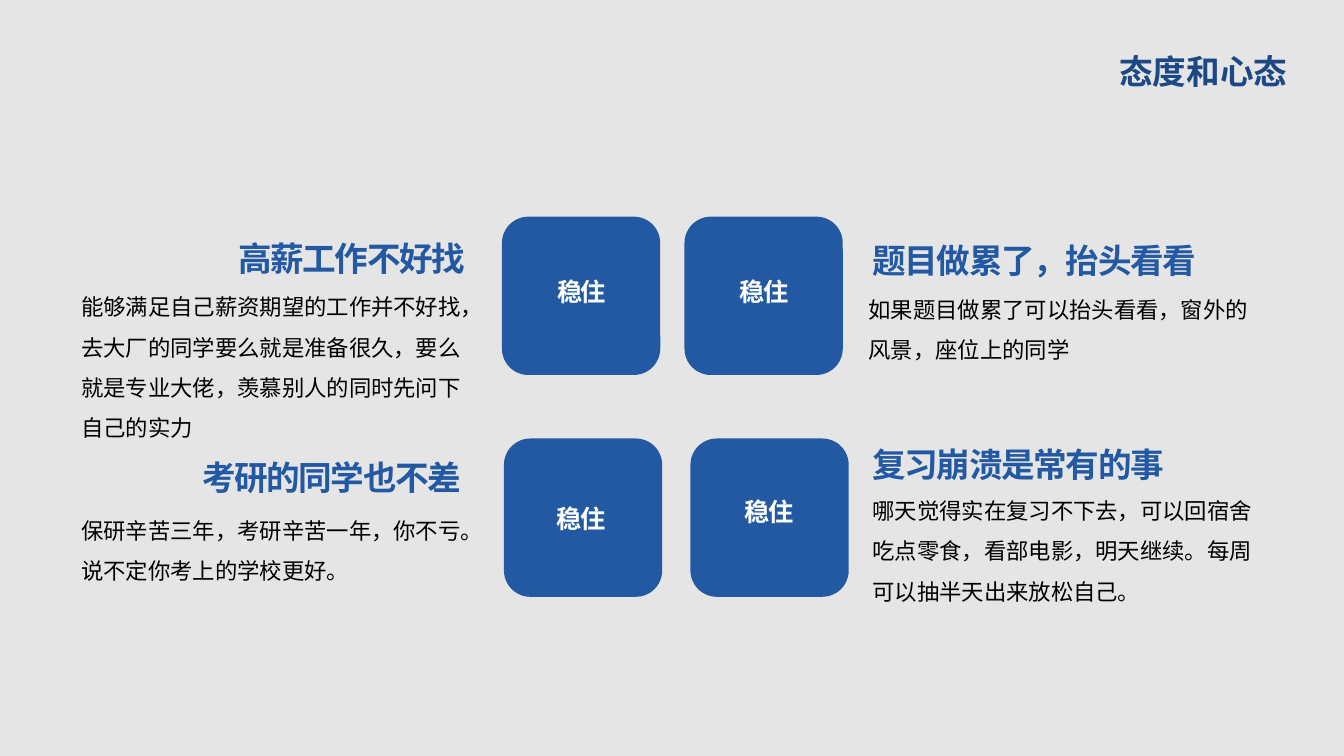
from dataclasses import dataclass
from typing import NamedTuple

from lxml.etree import SubElement
from pptx import Presentation
from pptx.dml.color import RGBColor
from pptx.enum.shapes import MSO_SHAPE
from pptx.enum.text import MSO_ANCHOR, MSO_AUTO_SIZE, PP_ALIGN
from pptx.oxml.ns import qn
from pptx.slide import Slide
from pptx.util import Cm, Pt

FONT = "Noto Sans CJK SC"
COLORS = {
    "background": "E5E5E5",
    "title": "1C4885",
    "accent": "2259A2",
    "body": "000000",
    "label": "FFFFFF",
}
TILE_SIZE = 3.99
LABEL_SIZE = (3.71, 1.02)
HEADING_HEIGHT = 1.27


class Box(NamedTuple):
    """Left, top, width and height in centimetres."""
    left: float
    top: float
    width: float
    height: float


@dataclass(frozen=True)
class Style:
    size: int
    color: str
    bold: bool = True
    tracking: int = 0
    line_spacing: float | None = None
    anchor: MSO_ANCHOR = MSO_ANCHOR.MIDDLE


TITLE = Style(24, "title", anchor=MSO_ANCHOR.TOP)
HEADING = Style(24, "accent", tracking=-100)
BODY = Style(16, "body", bold=False, line_spacing=1.5, anchor=MSO_ANCHOR.TOP)
LABEL = Style(18, "label", tracking=-100)


@dataclass(frozen=True)
class Topic:
    heading: str
    body: str
    align: PP_ALIGN
    tile_at: tuple[float, float]
    label_at: tuple[float, float]
    heading_at: tuple[float, float, float]
    body_box: Box


TOPICS = [
    Topic("高薪工作不好找",
          "能够满足自己薪资期望的工作并不好找，去大厂的同学要么就是准备很久，"
          "要么就是专业大佬，羡慕别人的同时先问下自己的实力",
          PP_ALIGN.RIGHT, (12.65, 5.46), (12.8, 6.83),
          (4.55, 5.87, 7.42), Box(1.8, 6.93, 10.16, 4.24)),
    Topic("题目做累了，抬头看看",
          "如果题目做累了可以抬头看看，窗外的风景，座位上的同学",
          PP_ALIGN.LEFT, (17.25, 5.46), (17.4, 6.83),
          (21.74, 5.92, 10.16), Box(21.64, 6.99, 10.29, 2.18)),
    Topic("考研的同学也不差",
          "保研辛苦三年，考研辛苦一年，你不亏。说不定你考上的学校更好。",
          PP_ALIGN.RIGHT, (12.7, 11.05), (12.78, 12.55),
          (4.45, 11.38, 7.42), Box(1.8, 12.57, 10.16, 2.18)),
    Topic("复习崩溃是常有的事",
          "哪天觉得实在复习不下去，可以回宿舍吃点零食，看部电影，明天继续。"
          "每周可以抽半天出来放松自己。",
          PP_ALIGN.LEFT, (17.4, 11.05), (17.53, 12.37),
          (21.74, 11.07, 8.56), Box(21.74, 12.07, 10.16, 3.23)),
]


def rgb(name: str) -> RGBColor:
    return RGBColor.from_string(COLORS[name])


def add_text(s: Slide, text: str, box: Box, style: Style, align: PP_ALIGN) -> None:
    tf = s.shapes.add_textbox(*map(Cm, box)).text_frame
    tf.word_wrap = True
    tf.auto_size = MSO_AUTO_SIZE.SHAPE_TO_FIT_TEXT
    tf.vertical_anchor = style.anchor
    tf.text = text
    p = tf.paragraphs[0]
    p.alignment = align
    if style.line_spacing:
        p.line_spacing = style.line_spacing
    r = p.runs[0]
    r.font.name = FONT
    r.font.size = Pt(style.size)
    r.font.bold = style.bold
    r.font.color.rgb = rgb(style.color)
    props = r.font._element
    SubElement(props, qn("a:ea")).set("typeface", FONT)
    if style.tracking:
        props.set("spc", str(style.tracking))


def add_tile(s: Slide, at: tuple[float, float]) -> None:
    tile = s.shapes.add_shape(MSO_SHAPE.ROUNDED_RECTANGLE,
                              *map(Cm, (*at, TILE_SIZE, TILE_SIZE)))
    tile.shadow.inherit = False
    tile.fill.solid()
    tile.fill.fore_color.rgb = rgb("accent")
    tile.line.fill.background()


def add_topic(s: Slide, topic: Topic) -> None:
    add_tile(s, topic.tile_at)
    add_text(s, "稳住", Box(*topic.label_at, *LABEL_SIZE), LABEL, PP_ALIGN.CENTER)
    add_text(s, topic.heading, Box(*topic.heading_at, HEADING_HEIGHT),
             HEADING, topic.align)
    add_text(s, topic.body, topic.body_box, BODY, PP_ALIGN.LEFT)


def main() -> None:
    prs = Presentation()
    prs.slide_width, prs.slide_height = Cm(33.87), Cm(19.05)
    s = prs.slides.add_slide(prs.slide_layouts[6])
    s.background.fill.solid()
    s.background.fill.fore_color.rgb = rgb("background")
    add_text(s, "态度和心态", Box(23.42, 1.17, 9.27, 1.27), TITLE, PP_ALIGN.RIGHT)
    for topic in TOPICS:
        add_topic(s, topic)
    prs.save("out.pptx")


if __name__ == "__main__":
    main()
